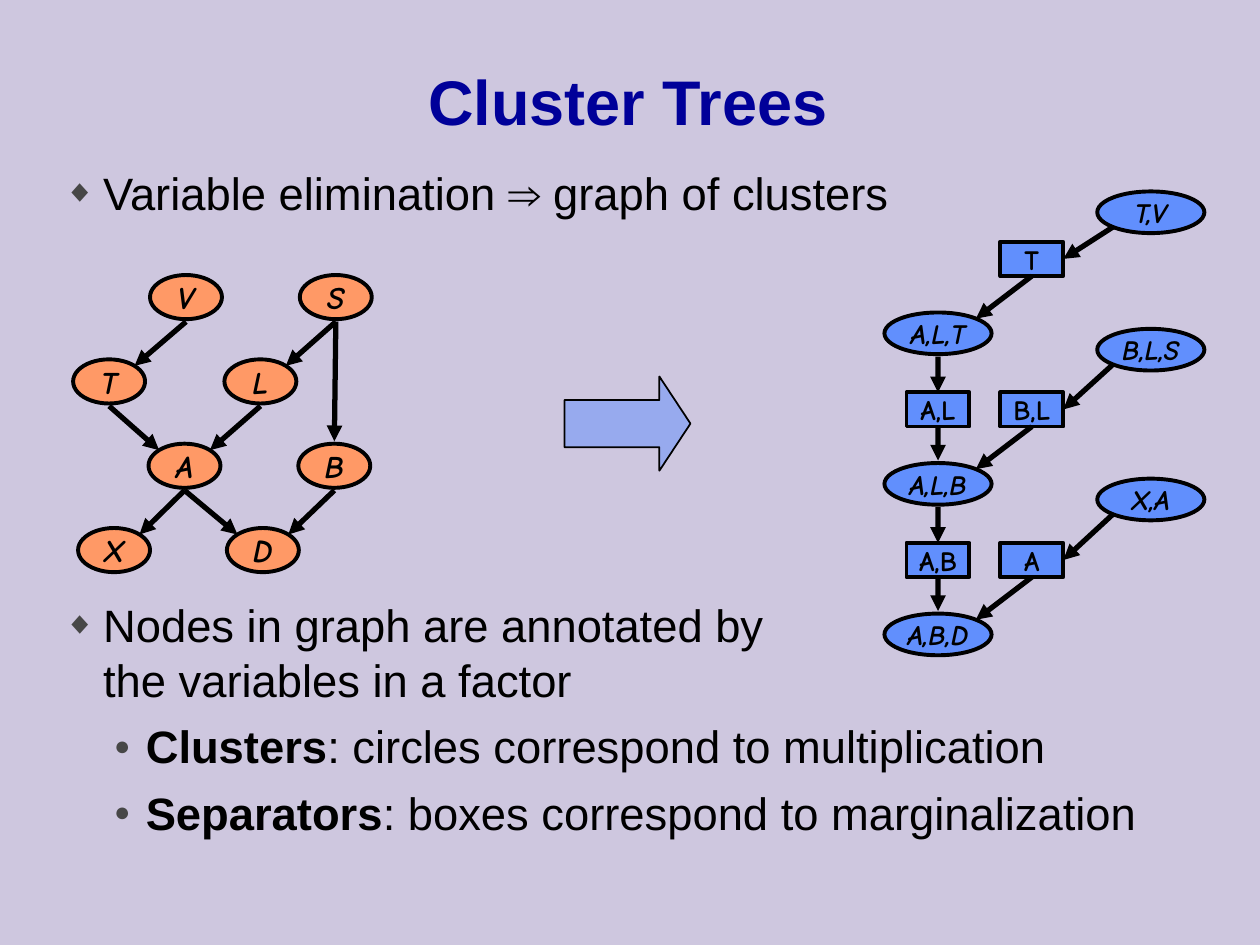
from math import sqrt

from lxml import etree
from pptx import Presentation
from pptx.dml.color import RGBColor
from pptx.enum import shapes, text
from pptx.oxml.ns import qn
from pptx.util import Cm, Pt

THEME = {
    "background": "CEC7DF", "title": "000099", "ink": "000000", "bullet": "474747",
    "variable": "FF9966", "cluster": "618FFD",
    "font": "Arial", "label_font": "Comic Neue",
    "title_size": 36, "body_size": 25.9, "variable_size": 18, "cluster_size": 16,
    "outline": 2.25, "arrow": 3,
}

TITLE = "Cluster Trees"
# Each paragraph: level, then runs of (text, bold)
BODY = [
    (3.2, 1.5, [(0, [("Variable elimination ⇒ graph of clusters", False)])]),
    (11.92, 5.4, [
        (0, [("Nodes in graph are annotated by\nthe variables in a factor", False)]),
        (1, [("Clusters", True), (": circles correspond to multiplication", False)]),
        (1, [("Separators", True), (": boxes correspond to marginalization", False)]),
    ]),
]
# Each level: bullet, size in percent, left margin, hanging indent (cm)
BULLETS = [("◆", 70, 0.79, 0.79), ("●", 60, 1.65, 0.64)]

VARIABLE_SIZE, CLUSTER_SIZE, SEPARATOR_SIZE = (1.45, 0.89), (2.16, 0.84), (1.27, 0.69)
VARIABLE_TOP, VARIABLE_STEP = 5.99, 1.7
# Each row: variables with the x of their centre (cm)
VARIABLES = [
    [("V", 3.75), ("S", 6.77)],
    [("T", 2.2), ("L", 5.25)],
    [("A", 3.72), ("B", 6.74)],
    [("X", 2.3), ("D", 5.3)],
]
VARIABLE_EDGES = ["VT", "SL", "SB", "TA", "LA", "AX", "AD", "BD"]

TRUNK_X, BRANCH_X, LEAF_X = 18.91, 20.8, 23.2
TRUNK_TOP, TRUNK_STEP, BRANCH_RISE = 6.72, 3.035, 1.5
# Each stage: leaf cluster, its y, its separator, cluster on the trunk, separator below it
STAGES = [
    ("T,V", 4.28, "T", "A,L,T", "A,L"),
    ("B,L,S", 7.05, "B,L", "A,L,B", "A,B"),
    ("X,A", 10.07, "A", "A,B,D", None),
]
GAP = 0.05
DIAGONAL = 1 / sqrt(2)


def color(name):
    return RGBColor.from_string(THEME[name])


def write(paragraph, content, size, font="font", ink="ink", bold=False, italic=False):
    for index, line in enumerate(content.split("\n")):
        if index:
            paragraph.add_line_break()
        run = paragraph.add_run()
        run.text = line
        run.font.name = THEME[font]
        run.font.size = Pt(THEME[size])
        run.font.color.rgb = color(ink)
        run.font.bold, run.font.italic = bold, italic


def add_bullet(paragraph, level):
    character, percent, margin, hanging = BULLETS[level]
    properties = paragraph._p.get_or_add_pPr()
    properties.set("marL", str(Cm(margin)))
    properties.set("indent", str(-Cm(hanging)))
    bullet_color = etree.SubElement(properties, qn("a:buClr"))
    etree.SubElement(bullet_color, qn("a:srgbClr"), val=THEME["bullet"])
    etree.SubElement(properties, qn("a:buSzPct"), val=str(percent * 1000))
    etree.SubElement(properties, qn("a:buFont"), typeface=THEME["font"])
    etree.SubElement(properties, qn("a:buChar"), char=character)


def add_body(slide, top, height, paragraphs):
    frame = slide.shapes.add_textbox(Cm(1.04), Cm(top), Cm(23.3), Cm(height)).text_frame
    frame.word_wrap = True
    for index, (level, runs) in enumerate(paragraphs):
        paragraph = frame.add_paragraph() if index else frame.paragraphs[0]
        paragraph.level = level
        if index:
            paragraph.space_before = Pt(7)
        add_bullet(paragraph, level)
        for content, bold in runs:
            write(paragraph, content, "body_size", bold=bold)


def add_filled(slide, kind, box, fill, line_width):
    shape = slide.shapes.add_shape(kind, *(Cm(length) for length in box))
    shape.shadow.inherit = False
    shape.fill.solid()
    shape.fill.fore_color.rgb = color(fill)
    shape.line.color.rgb = color("ink")
    shape.line.width = Pt(line_width)
    return shape


def add_node(slide, label, x, y, size, fill, label_size, separator=False):
    """Draw a labelled node around its centre and return (shape, x, y, size)."""
    kind = shapes.MSO_SHAPE.RECTANGLE if separator else shapes.MSO_SHAPE.OVAL
    width, height = size
    shape = add_filled(slide, kind, (x - width / 2, y - height / 2, width, height),
                       fill, THEME["outline"])
    frame = shape.text_frame
    frame.word_wrap = False
    frame.vertical_anchor = text.MSO_ANCHOR.MIDDLE
    paragraph = frame.paragraphs[0]
    paragraph.alignment = text.PP_ALIGN.CENTER
    write(paragraph, label, label_size, "label_font", bold=True, italic=not separator)
    return shape, x, y, size


def rim(node, across, down):
    """Point on an ellipse in the given direction, with a gap below or above it."""
    _, x, y, (width, height) = node
    gap = 0 if across else GAP * down
    return x + across * width / 2, y + down * height / 2 + gap


def add_arrow(slide, start, end, start_site=None, end_site=None):
    """Each end is a point, or a node when a connection site is given."""
    points = [end_node[1:3] if site is not None else end_node
              for end_node, site in ((start, start_site), (end, end_site))]
    connector = slide.shapes.add_connector(
        shapes.MSO_CONNECTOR.STRAIGHT, *(Cm(value) for point in points for value in point))
    if start_site is not None:
        connector.begin_connect(start[0], start_site)
    if end_site is not None:
        connector.end_connect(end[0], end_site)
    connector.line.color.rgb = color("ink")
    connector.line.width = Pt(THEME["arrow"])
    etree.SubElement(connector.line._get_or_add_ln(), qn("a:tailEnd"), type="triangle")
    etree.SubElement(connector._element.spPr, qn("a:effectLst"))


def add_variable_graph(slide):
    nodes = {}
    for row, variables in enumerate(VARIABLES):
        for label, x in variables:
            nodes[label] = add_node(slide, label, x, VARIABLE_TOP + row * VARIABLE_STEP,
                                    VARIABLE_SIZE, "variable", "variable_size")
    for source, target in VARIABLE_EDGES:
        shift = nodes[source][1] - nodes[target][1]
        if abs(shift) < 0.1:
            end = rim(nodes[target], 0, -1)
        else:
            end = rim(nodes[target], DIAGONAL if shift > 0 else -DIAGONAL, -DIAGONAL)
        add_arrow(slide, rim(nodes[source], 0, 1), end)


def add_cluster_tree(slide):
    def cluster(label, x, y):
        return add_node(slide, label, x, y, CLUSTER_SIZE, "cluster", "cluster_size")

    def separator(label, x, y):
        return add_node(slide, label, x, y, SEPARATOR_SIZE, "cluster", "cluster_size", True)

    above = None
    for stage, (leaf_label, leaf_y, branch_label, trunk_label, below_label) in enumerate(STAGES):
        y = TRUNK_TOP + stage * TRUNK_STEP
        leaf = cluster(leaf_label, LEAF_X, leaf_y)
        branch = separator(branch_label, BRANCH_X, y - BRANCH_RISE)
        trunk = cluster(trunk_label, TRUNK_X, y)
        add_arrow(slide, rim(leaf, -DIAGONAL, DIAGONAL), branch, end_site=3)
        add_arrow(slide, branch, rim(trunk, DIAGONAL, -DIAGONAL), start_site=2)
        if above:
            add_arrow(slide, above, rim(trunk, 0, -1), start_site=2)
        if below_label:
            above = separator(below_label, TRUNK_X, y + TRUNK_STEP - BRANCH_RISE)
            add_arrow(slide, rim(trunk, 0, 1), above, end_site=0)


def main():
    presentation = Presentation()
    presentation.slide_width, presentation.slide_height = Cm(25.4), Cm(19.05)
    slide = presentation.slides.add_slide(presentation.slide_layouts[5])
    slide.background.fill.solid()
    slide.background.fill.fore_color.rgb = color("background")

    title = slide.shapes.title
    title.left, title.top, title.width, title.height = Cm(0.97), Cm(0.43), Cm(23.37), Cm(3.18)
    title.text_frame.vertical_anchor = text.MSO_ANCHOR.MIDDLE
    title.text_frame.paragraphs[0].alignment = text.PP_ALIGN.CENTER
    write(title.text_frame.paragraphs[0], TITLE, "title_size", ink="title", bold=True)

    for top, height, paragraphs in BODY:
        add_body(slide, top, height, paragraphs)
    add_variable_graph(slide)
    arrow = add_filled(slide, shapes.MSO_SHAPE.RIGHT_ARROW, (11.38, 7.59, 2.54, 1.9), "cluster", 1)
    arrow.adjustments[0], arrow.adjustments[1] = 0.5, 0.33
    fill_color = arrow._element.spPr.find(qn("a:solidFill")).find(qn("a:srgbClr"))
    etree.SubElement(fill_color, qn("a:alpha"), val="50000")
    add_cluster_tree(slide)
    presentation.save("out.pptx")


if __name__ == "__main__":
    main()
